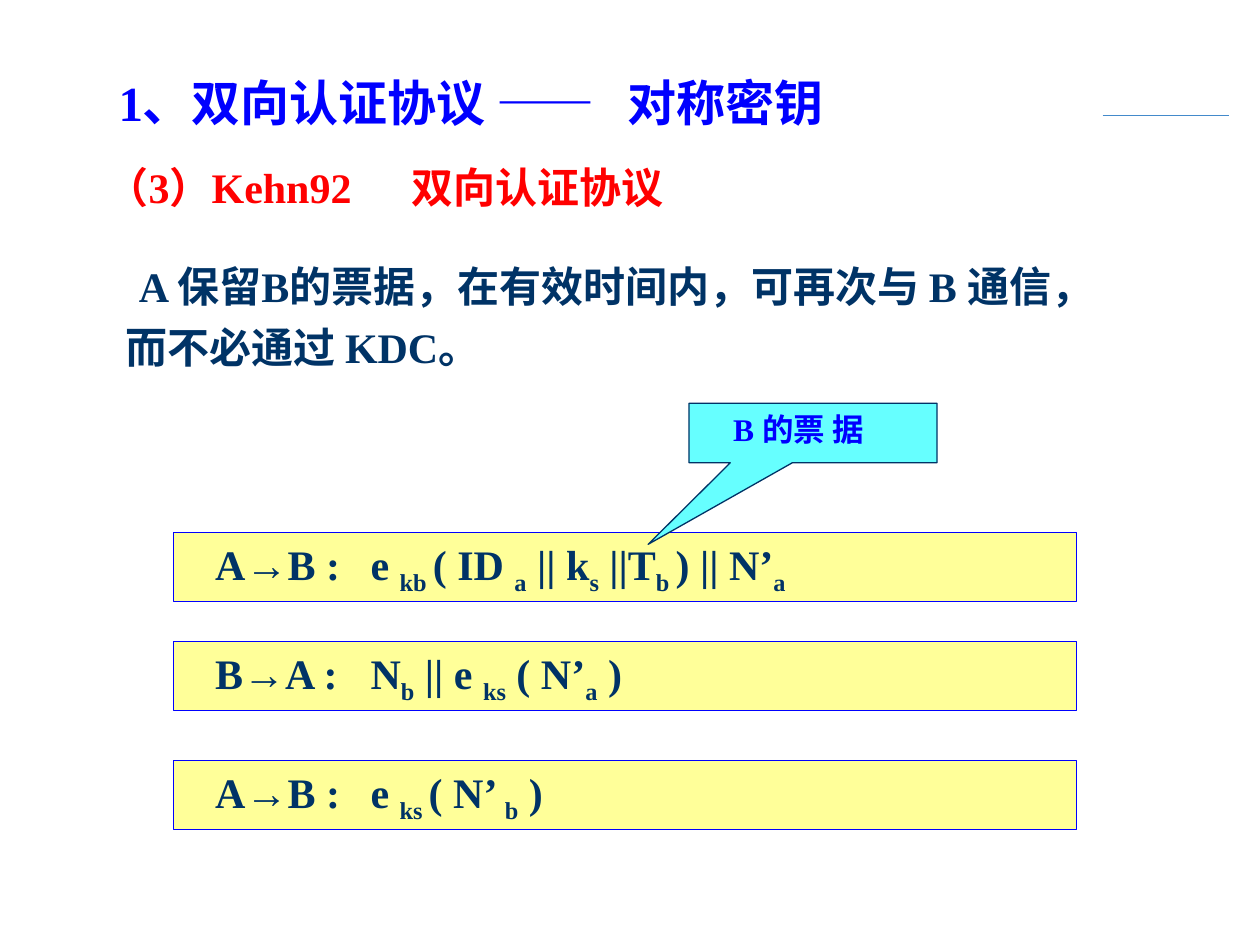
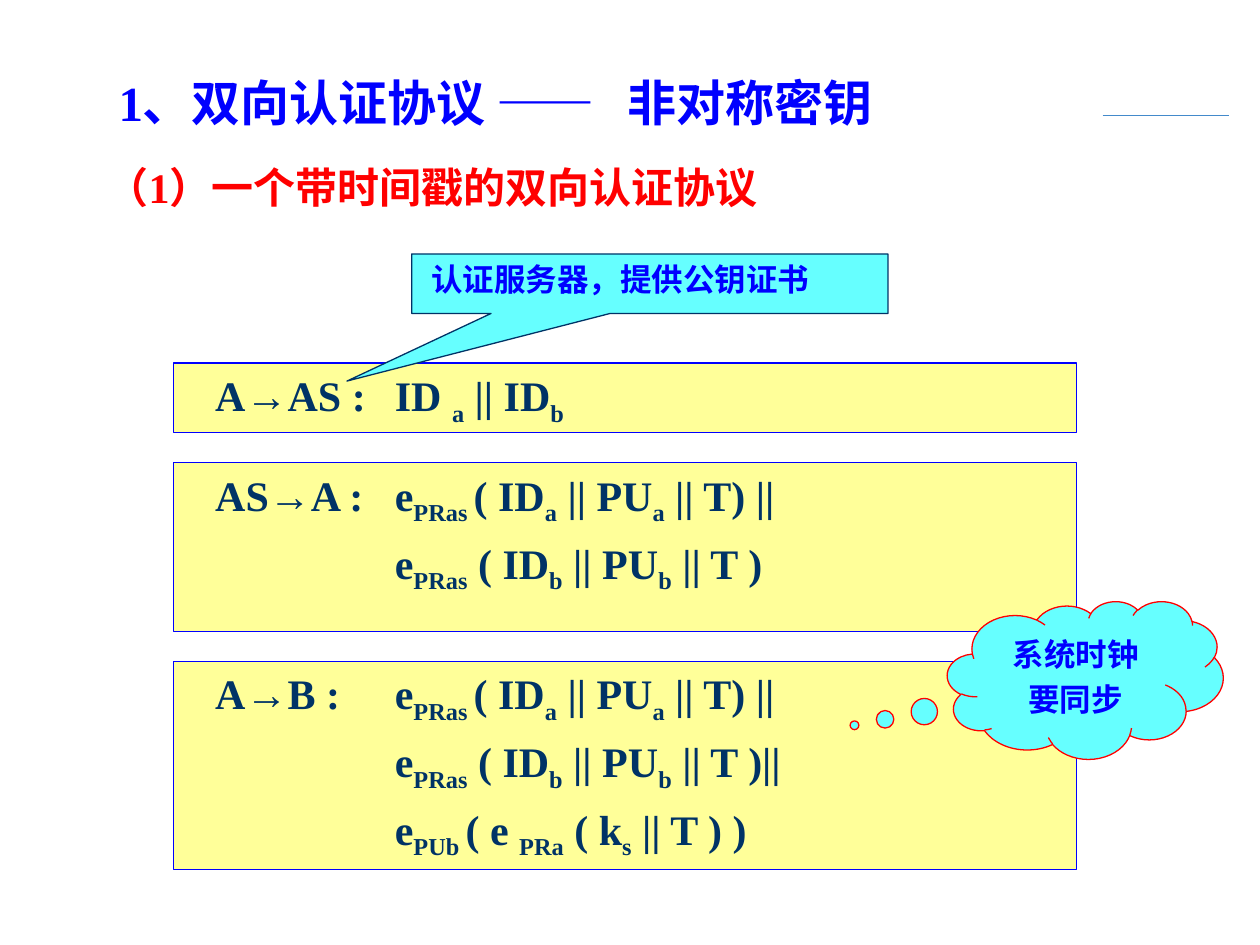
from dataclasses import dataclass
from typing import NamedTuple

from lxml.etree import SubElement
from pptx import Presentation
from pptx.dml.color import RGBColor
from pptx.enum.shapes import MSO_CONNECTOR, MSO_SHAPE as Preset
from pptx.enum.text import MSO_ANCHOR as Anchor, PP_ALIGN as Align
from pptx.oxml.ns import qn
from pptx.util import Cm, Pt


@dataclass(frozen=True)
class Theme:
    blue: RGBColor = RGBColor(0x00, 0x00, 0xFF)
    red: RGBColor = RGBColor(0xFF, 0x00, 0x00)
    navy: RGBColor = RGBColor(0x00, 0x33, 0x66)
    rule: RGBColor = RGBColor(0x43, 0x8A, 0xCB)
    yellow: RGBColor = RGBColor(0xFF, 0xFF, 0x99)
    cyan: RGBColor = RGBColor(0x66, 0xFF, 0xFF)
    serif: str = "Times New Roman"
    sans: str = "DejaVu Sans"
    title: float = 28
    body: float = 24
    note: float = 18
    outline: float = 0.75


THEME = Theme()


class Box(NamedTuple):
    """Left, top, width and height in centimetres."""
    left: float
    top: float
    width: float
    height: float

    def lengths(self) -> list[Cm]:
        return [Cm(value) for value in self]


class Message(NamedTuple):
    """One protocol step: sender, tab, expression; [x] marks a subscript."""
    top: float
    height: float
    lines: list[str]


class Callout(NamedTuple):
    preset: Preset
    box: Box
    tip: tuple[float, float]
    lines: list[str]
    outline: RGBColor
    inset: float = 0.25
    font: str = THEME.serif
    align: Align = Align.LEFT
    anchor: Anchor = Anchor.TOP


TITLE_BOX = Box(2.14, 1.34, 18.15, 1.4)
SUBTITLE_BOX = Box(1.9, 3.12, 19.61, 1.6)
SUMMARY_BOX = Box(1.7, 5.13, 20.5, 3.4)
MESSAGE_LEFT, MESSAGE_WIDTH, MESSAGE_INSET = 3.5, 18.21, 0.84
TITLE_TAB, SUBTITLE_TAB = 10.26, 6.15


def write(shape, lines: list[str], *, size: float, color: RGBColor,
          font: str = THEME.serif, align: Align = Align.LEFT,
          anchor: Anchor = Anchor.TOP, inset: float = 0.25, gap: float = 6,
          tab: float = 0, margin: float = 0,
          indents: tuple[float, ...] = ()) -> None:
    """Fill a shape with bold paragraphs, lowering the parts in brackets.

    With a tab, a further line without a tab character starts at the stop.
    """
    frame = shape.text_frame
    frame.word_wrap = True
    frame.vertical_anchor = anchor
    frame.margin_left, frame.margin_right = Cm(inset), Cm(0.25)
    frame.margin_top = frame.margin_bottom = Cm(0.13)
    for number, line in enumerate(lines):
        paragraph = frame.add_paragraph() if number else frame.paragraphs[0]
        paragraph.alignment = align
        if number:
            paragraph.space_before = Pt(gap)
        properties = paragraph._p.get_or_add_pPr()
        if indents:
            properties.set("marL", str(Cm(margin)))
            properties.set("indent", str(Cm(indents[number])))
        if "\t" in line:
            stops = SubElement(properties, qn("a:tabLst"))
            SubElement(stops, qn("a:tab"), pos=str(Cm(tab)), algn="l")
        elif tab and number:
            properties.set("marL", str(Cm(tab)))
        for part, text in enumerate(line.replace("]", "[").split("[")):
            if not text:
                continue
            run = paragraph.add_run()
            run.text = text
            run.font.name, run.font.size, run.font.bold = font, Pt(size), True
            run.font.color.rgb = color
            if part % 2:
                run._r.get_or_add_rPr().set("baseline", "-25000")


def add_panel(slide, preset: Preset, box: Box, fill: RGBColor,
              outline: RGBColor):
    panel = slide.shapes.add_shape(preset, *box.lengths())
    panel.shadow.inherit = False
    panel.fill.solid()
    panel.fill.fore_color.rgb = fill
    panel.line.color.rgb = outline
    panel.line.width = Pt(THEME.outline)
    return panel


def add_text(slide, box: Box, lines: list[str], **style) -> None:
    write(slide.shapes.add_textbox(*box.lengths()), lines, **style)


def add_message(slide, message: Message, tab: float) -> None:
    box = Box(MESSAGE_LEFT, message.top, MESSAGE_WIDTH, message.height)
    panel = add_panel(slide, Preset.RECTANGLE, box, THEME.yellow, THEME.blue)
    write(panel, message.lines, size=THEME.body, color=THEME.navy,
          inset=MESSAGE_INSET, tab=tab)


def add_callout(slide, callout: Callout) -> None:
    panel = add_panel(slide, callout.preset, callout.box, THEME.cyan,
                      callout.outline)
    for index, value in enumerate(callout.tip):
        panel.adjustments[index] = value
    write(panel, callout.lines, size=THEME.note, color=THEME.blue,
          font=callout.font, align=callout.align, anchor=callout.anchor,
          inset=callout.inset, gap=4.5)


def add_protocol_slide(deck, key_kind: str, subtitle: str,
                       messages: list[Message], callouts: list[Callout],
                       expression_tab: float):
    slide = deck.slides.add_slide(deck.slide_layouts[6])
    rule = slide.shapes.add_connector(MSO_CONNECTOR.STRAIGHT, Cm(22.23),
                                      Cm(2.33), Cm(24.77), Cm(2.33))
    rule.line.color.rgb = THEME.rule
    rule.line.width = Pt(THEME.outline)
    SubElement(rule._element.spPr, qn("a:effectLst"))
    add_text(slide, TITLE_BOX, [f"1、双向认证协议 ——\t{key_kind}"],
             size=THEME.title, color=THEME.blue, tab=TITLE_TAB)
    add_text(slide, SUBTITLE_BOX, [subtitle], size=THEME.body,
             color=THEME.red, tab=SUBTITLE_TAB)
    for message in messages:
        add_message(slide, message, expression_tab)
    for callout in callouts:
        add_callout(slide, callout)
    return slide


def main() -> None:
    deck = Presentation()
    deck.slide_width, deck.slide_height = Cm(25.4), Cm(19.05)

    symmetric = add_protocol_slide(
        deck, "对称密钥", "（3）Kehn92\t双向认证协议",
        [Message(10.73, 1.4,
                 ["A→B :\te [kb ]( ID [a] || k[s] ||T[b ]) || N’[a]"]),
         Message(12.93, 1.4, ["B→A :\tN[b] || e [ks] ( N’[a] )"]),
         Message(15.33, 1.4, ["A→B :\te [ks ]( N’ [b] )"])],
        [Callout(Preset.RECTANGULAR_CALLOUT, Box(13.89, 8.13, 5, 1.2),
                 (-0.665, 1.871), ["B 的票 据"], THEME.navy, inset=0.89)],
        expression_tab=3.13)
    add_text(symmetric, SUMMARY_BOX,
             ["A 保留B的票据，在有效时间内，可再次与 B 通信，",
              "而不必通过 KDC。"],
             size=THEME.body, color=THEME.navy, margin=0.97,
             indents=(-0.12, -0.39))

    add_protocol_slide(
        deck, "非对称密钥", "（1）一个带时间戳的双向认证协议",
        [Message(7.32, 1.4, ["A→AS :\tID [a] || ID[b]"]),
         Message(9.33, 3.4, ["AS→A :\te[PRas ]( ID[a] || PU[a] || T) ||",
                             "e[PRas] ( ID[b] || PU[b] || T )"]),
         Message(13.33, 4.2, ["A→B :\te[PRas ]( ID[a] || PU[a] || T) ||",
                              "e[PRas] ( ID[b] || PU[b] || T )||",
                              "e[PUb ]( e [PRa] ( k[s] || T ) )"])],
        [Callout(Preset.RECTANGULAR_CALLOUT, Box(8.3, 5.12, 9.6, 1.2),
                 (-0.636, 1.636), ["认证服务器，提供公钥证书"], THEME.navy,
                 inset=0.39),
         Callout(Preset.CLOUD_CALLOUT, Box(19.1, 12.12, 5.56, 3.18),
                 (-0.837, 0.287), ["系统时钟", "要同步"], THEME.red,
                 font=THEME.sans, align=Align.CENTER, anchor=Anchor.MIDDLE)],
        expression_tab=3.62)

    deck.save("out.pptx")


if __name__ == "__main__":
    main()
